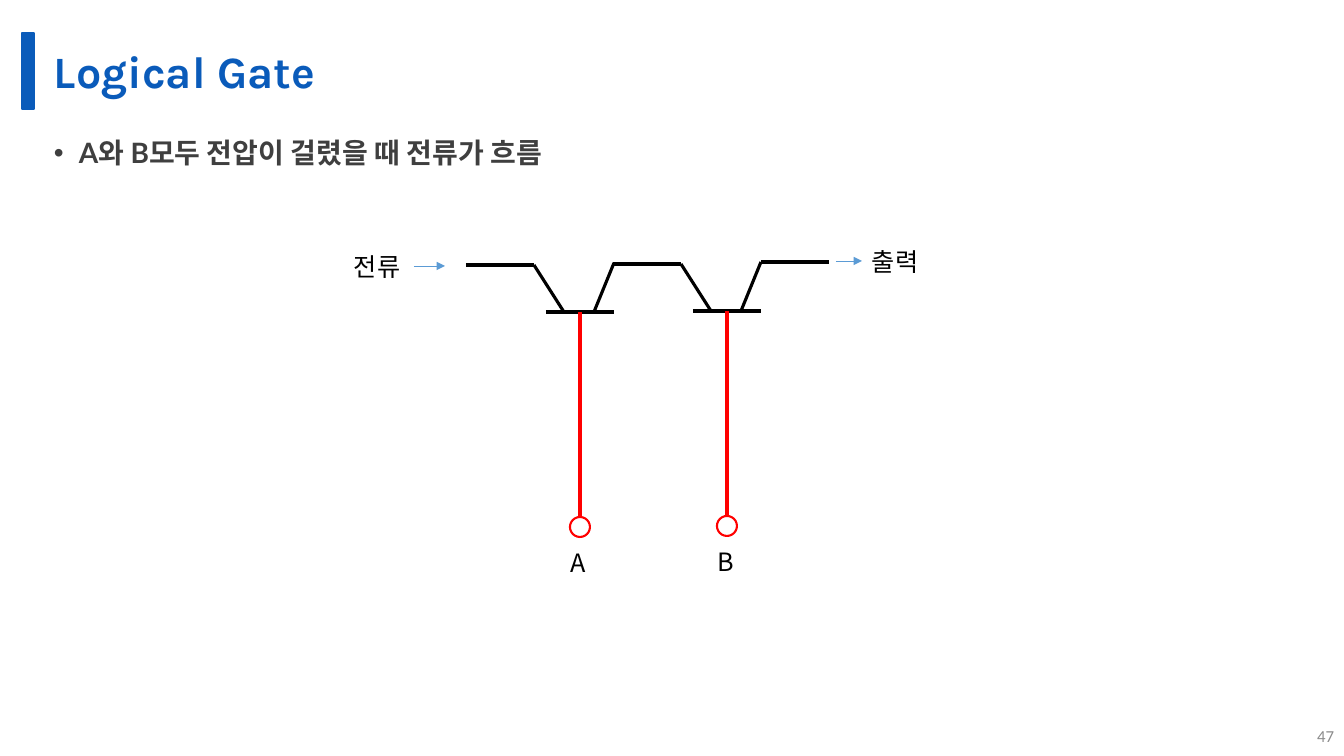
import pptx
import pptx.util
import pptx.dml.color
import pptx.enum.shapes
import pptx.enum.text
import pptx.oxml.ns
import lxml.etree

THEME = {
    "blue": "0A5BBA", "body": "3F3F3F", "muted": "8C8C8C", "black": "000000",
    "red": "FF0000", "arrow": "5B9BD5",
    "wire_pt": 2.25, "ring_pt": 1.5, "arrow_pt": 0.5, "accent_pt": 1,
    "korean": "Noto Sans CJK KR",
    "title": {"name": "Karla", "size": 32, "bold": True, "color": "blue"},
    "bullet": {"name": "Lato", "size": 20, "bold": True, "color": "body"},
    "number": {"name": "Calibri", "size": 12, "bold": False, "color": "muted"},
    "label": {"name": "Noto Sans CJK KR", "size": 18, "bold": False, "color": "black"},
}
MIDDLE = pptx.enum.text.MSO_ANCHOR.MIDDLE
RIGHT = pptx.enum.text.PP_ALIGN.RIGHT

ACCENT = (22, 33, 12, 76)
TITLE = ("Logical Gate", (44, 33, 1255, 76))
BULLET = ("A와 B모두 전압이 걸렸을 때 전류가 흐름", (44, 126, 1255, 597))
NUMBER = ("47", (1299, 716, 45, 40))
LABELS = [("전류", (344, 246, 72, 40)), ("출력", (862, 241, 70, 40))]
ARROWS = [((414, 266), (445, 266)), ((836, 261), (862, 261))]
TRANSISTORS = [("A", 580, 312), ("B", 727, 311)]
INPUT_WIRE = ((-114, -47), (-46, -47))
OUTPUT_WIRE = ((34, -49), (102, -49))
GATE = [
    INPUT_WIRE,
    ((-34, 0), (34, 0)),
    ((-46, -47), (-16, 0)),
    ((34, -49), (14, 0)),
]
RING, STEM, LABEL_DROP, LABEL_W, LABEL_H = 20, 205, 230, 38, 40


def px(n):
    return round(n * 914400 / 100.8)


def rgb(name):
    return pptx.dml.color.RGBColor.from_string(THEME[name])


def add_text(s, text, box, style, wrap=True, **frame):
    tf = s.shapes.add_textbox(*map(px, box)).text_frame
    for key, value in {"word_wrap": wrap, **frame}.items():
        setattr(tf, key, value)
    p = tf.paragraphs[0]
    r = p.add_run()
    r.text = text
    fmt = THEME[style]
    for key, value in {"name": fmt["name"], "bold": fmt["bold"],
                       "size": pptx.util.Pt(fmt["size"])}.items():
        setattr(r.font, key, value)
    r.font.color.rgb = rgb(fmt["color"])
    ea = lxml.etree.SubElement(r.font._element, pptx.oxml.ns.qn("a:ea"))
    ea.set("typeface", THEME["korean"])
    return p


def add_shape(s, kind, box, line, width, fill=None):
    sp = s.shapes.add_shape(kind, *map(px, box))
    sp.shadow.inherit = False
    if fill:
        sp.fill.solid()
        sp.fill.fore_color.rgb = rgb(fill)
    else:
        sp.fill.background()
    sp.line.color.rgb = rgb(line)
    sp.line.width = pptx.util.Pt(width)
    return sp


def add_line(s, start, end, color="black", width=THEME["wire_pt"], arrow=False):
    c = s.shapes.add_connector(pptx.enum.shapes.MSO_CONNECTOR.STRAIGHT,
                               *map(px, (*start, *end)))
    c.line.color.rgb = rgb(color)
    c.line.width = pptx.util.Pt(width)
    if arrow:
        tail = lxml.etree.SubElement(c.line._get_or_add_ln(), pptx.oxml.ns.qn("a:tailEnd"))
        tail.set("type", "triangle")
    lxml.etree.SubElement(c._element.spPr, pptx.oxml.ns.qn("a:effectLst"))
    return c


def add_bullet(p):
    pPr = p._p.get_or_add_pPr()
    pPr.set("marL", str(px(25)))
    pPr.set("indent", str(px(-25)))
    for tag, key, value in [("a:buFont", "typeface", "Arial"), ("a:buChar", "char", "•")]:
        lxml.etree.SubElement(pPr, pptx.oxml.ns.qn(tag)).set(key, value)
    p.line_spacing = 1.14
    p.space_after = pptx.util.Pt(3)


def add_transistor(s, name, x, base):
    for (x1, y1), (x2, y2) in GATE:
        add_line(s, (x + x1, base + y1), (x + x2, base + y2))
    ring = add_shape(s, pptx.enum.shapes.MSO_SHAPE.OVAL,
                     (x - RING // 2, base + STEM, RING, RING), "red", THEME["ring_pt"])
    stem = add_line(s, (x, base + STEM), (x, base), "red")
    stem.begin_connect(ring, 0)
    add_text(s, name, (x - LABEL_W // 2, base + LABEL_DROP, LABEL_W, LABEL_H),
             "label", wrap=False)


def main():
    prs = pptx.Presentation()
    prs.slide_width, prs.slide_height = px(1344), px(756)
    s = prs.slides.add_slide(prs.slide_layouts[6])

    add_shape(s, pptx.enum.shapes.MSO_SHAPE.RECTANGLE, ACCENT,
              "blue", THEME["accent_pt"], "blue")
    add_text(s, *TITLE, "title", vertical_anchor=MIDDLE, margin_bottom=0).line_spacing = 0.9
    add_bullet(add_text(s, *BULLET, "bullet"))
    add_text(s, *NUMBER, "number", vertical_anchor=MIDDLE).alignment = RIGHT

    for transistor in TRANSISTORS:
        add_transistor(s, *transistor)
    _, x, base = TRANSISTORS[-1]
    add_line(s, *[(x + dx, base + dy) for dx, dy in OUTPUT_WIRE])

    for text, box in LABELS:
        add_text(s, text, box, "label", wrap=False)
    for start, end in ARROWS:
        add_line(s, start, end, "arrow", THEME["arrow_pt"], arrow=True)

    prs.save("out.pptx")


if __name__ == "__main__":
    main()
